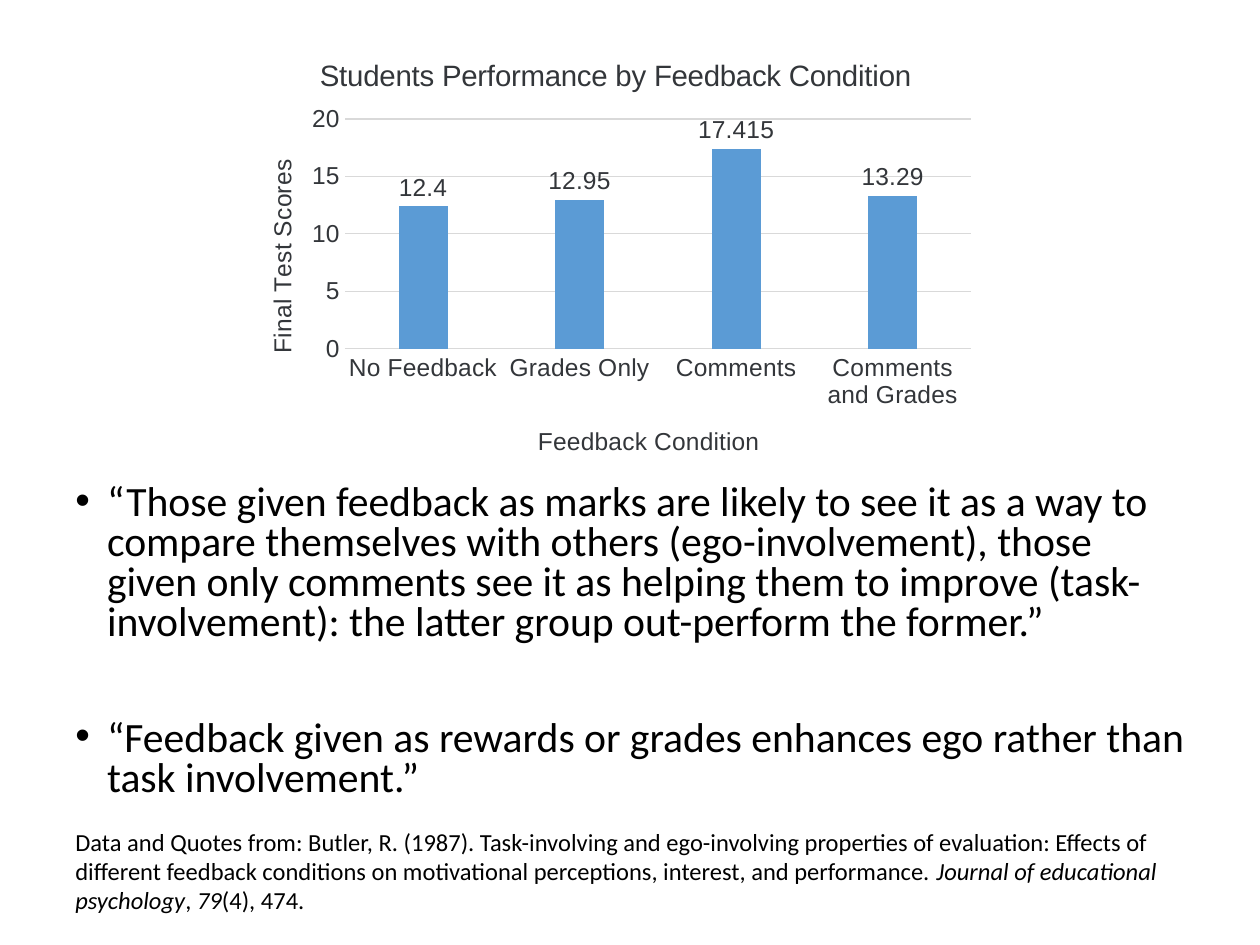
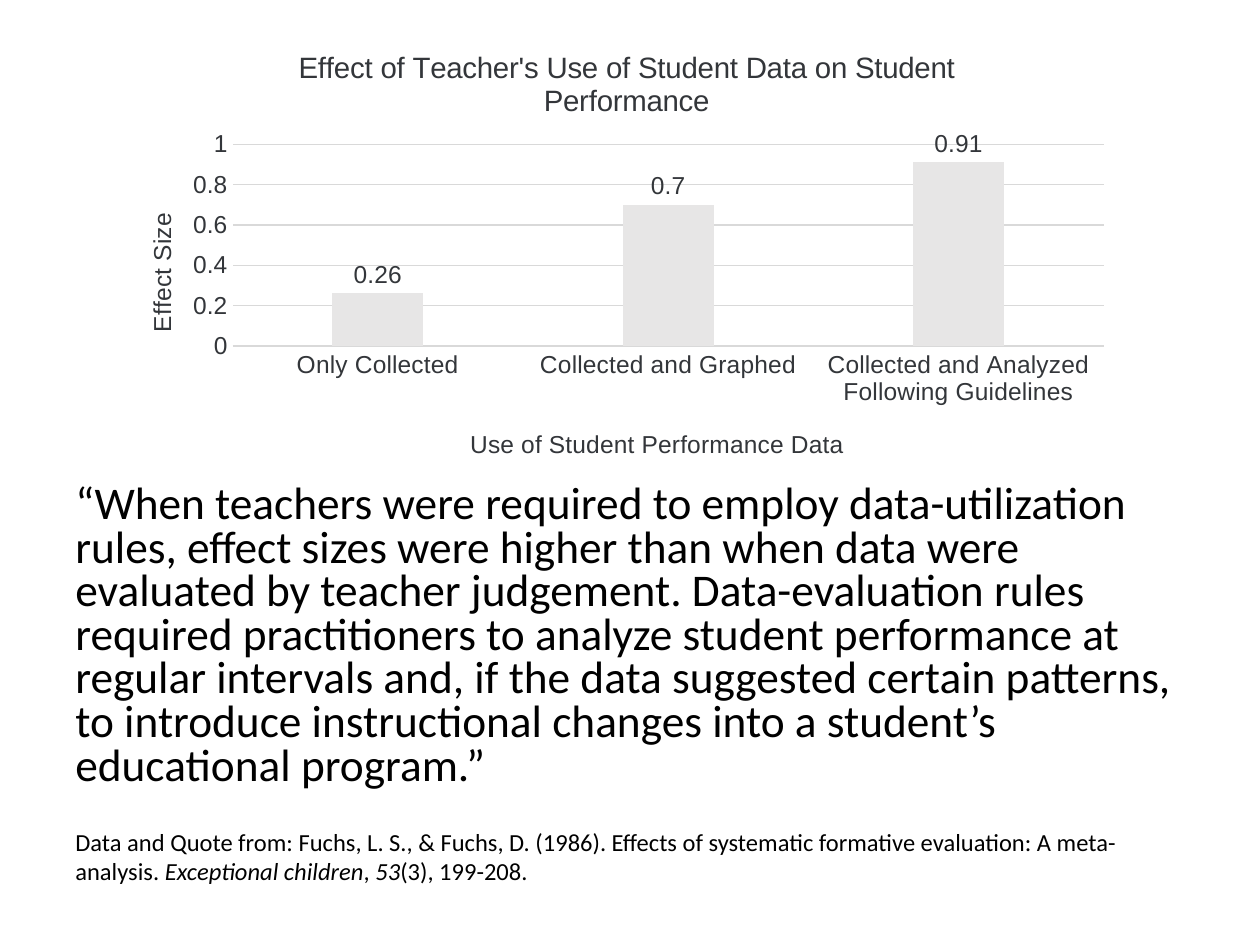
from dataclasses import dataclass

from lxml import etree
from pptx import Presentation
from pptx.chart.data import CategoryChartData
from pptx.dml.color import RGBColor
from pptx.enum.chart import XL_CHART_TYPE, XL_LABEL_POSITION, XL_TICK_MARK
from pptx.oxml.ns import qn
from pptx.util import Cm, Pt


@dataclass(frozen=True)
class Theme:
    text_font: str = "Calibri"
    chart_font: str = "Arial"
    text_color: RGBColor = RGBColor(0x00, 0x00, 0x00)
    chart_text: RGBColor = RGBColor(0x33, 0x36, 0x3A)
    grid_color: RGBColor = RGBColor(0xD9, 0xD9, 0xD9)
    blue_bars: RGBColor = RGBColor(0x5B, 0x9B, 0xD5)
    grey_bars: RGBColor = RGBColor(0xE7, 0xE6, 0xE6)
    title_size: Pt = Pt(16.8)
    label_size: Pt = Pt(14)
    source_size: Pt = Pt(14)
    grid_width: Pt = Pt(0.75)


theme = Theme()
MARGIN, TEXT_WIDTH = Cm(1.27), Cm(22.86)
QUOTE_TOP, QUOTE_HEIGHT = Cm(9.65), Cm(6.86)
SOURCE_TOP = Cm(16.54)
BULLET_INDENT = Cm(0.64)

STUDIES = [
    {
        "title": "Students Performance by Feedback Condition",
        "category_title": "Feedback Condition",
        "value_title": "Final Test Scores",
        "scores": {
            "No Feedback": 12.4,
            "Grades Only": 12.95,
            "Comments": 17.415,
            "Comments and Grades": 13.29,
        },
        "maximum": 20,
        "step": 5,
        "bar_color": theme.blue_bars,
        "frame": (Cm(4.67), Cm(0.58), Cm(15.21), Cm(9.09)),
        "title_at": (0.11, 0.05),
        "category_title_at": (0.4, 0.87),
        "value_title_at": (0.04, 0.28),
        "plot_at": (0.15, 0.2, 0.83, 0.51),
        "quotes": [
            "“Those given feedback as marks are likely to see it as a way to compare "
            "themselves with others (ego-involvement), those given only comments see it "
            "as helping them to improve (task-involvement): the latter group out-perform "
            "the former.”",
            "“Feedback given as rewards or grades enhances ego rather than task "
            "involvement.”",
        ],
        "bulleted": True,
        "quote_size": Pt(23.8),
        "source_height": Cm(2.06),
        "source": [
            ("Data and Quotes from: Butler, R. (1987). Task-involving and ego-involving "
             "properties of evaluation: Effects of different feedback conditions on "
             "motivational perceptions, interest, and performance. ", False),
            ("Journal of educational psychology", True),
            (", ", False),
            ("79", True),
            ("(4), 474.", False),
        ],
    },
    {
        "title": "Effect of Teacher's Use of Student Data on Student Performance",
        "category_title": "Use of Student Performance Data",
        "value_title": "Effect Size",
        "scores": {
            "Only Collected": 0.26,
            "Collected and Graphed": 0.7,
            "Collected and Analyzed Following Guidelines": 0.91,
        },
        "maximum": 1,
        "step": 0.2,
        "bar_color": theme.grey_bars,
        "frame": (Cm(2.24), Cm(0.41), Cm(20.42), Cm(9.25)),
        "title_at": (0.18, 0.05),
        "category_title_at": (0.35, 0.88),
        "value_title_at": (0.03, 0.41),
        "plot_at": (0.12, 0.27, 0.86, 0.44),
        "quotes": [
            "“When teachers were required to employ data-utilization rules, effect sizes "
            "were higher than when data were evaluated by teacher judgement. "
            "Data-evaluation rules required practitioners to analyze student performance "
            "at regular intervals and, if the data suggested certain patterns, to "
            "introduce instructional changes into a student’s educational program.”",
        ],
        "bulleted": False,
        "quote_size": Pt(25.9),
        "source_height": Cm(1.45),
        "source": [
            ("Data and Quote from: Fuchs, L. S., & Fuchs, D. (1986). Effects of "
             "systematic formative evaluation: A meta-analysis. ", False),
            ("Exceptional children", True),
            (", ", False),
            ("53", True),
            ("(3), 199-208.", False),
        ],
    },
]


def place(element, position, index):
    """Give a chart part a manual layout, in fractions of the chart: x, y[, w, h]."""
    for old_layout in element.findall(qn("c:layout")):
        element.remove(old_layout)
    layout = etree.Element(qn("c:layout"))
    manual = etree.SubElement(layout, qn("c:manualLayout"))
    if len(position) == 4:
        etree.SubElement(manual, qn("c:layoutTarget")).set("val", "inner")
    for mode in ("xMode", "yMode"):
        etree.SubElement(manual, qn(f"c:{mode}")).set("val", "edge")
    for name, fraction in zip("xywh", position):
        etree.SubElement(manual, qn(f"c:{name}")).set("val", str(fraction))
    element.insert(index, layout)


def style_font(font, name, size, color):
    font.name = name
    font.size = size
    font.bold = False
    font.color.rgb = color


presentation = Presentation()
presentation.slide_width = Cm(25.4)
presentation.slide_height = Cm(19.05)
blank_layout = presentation.slide_layouts[6]

for study in STUDIES:
    slide = presentation.slides.add_slide(blank_layout)

    # Column chart
    data = CategoryChartData()
    data.categories = list(study["scores"])
    data.add_series("Series 1", list(study["scores"].values()))
    chart = slide.shapes.add_chart(
        XL_CHART_TYPE.COLUMN_CLUSTERED, *study["frame"], data).chart
    chart.has_legend = False
    style_font(chart.font, theme.chart_font, theme.label_size, theme.chart_text)

    category_axis, value_axis = chart.category_axis, chart.value_axis
    for axis in (category_axis, value_axis):
        axis.major_tick_mark = axis.minor_tick_mark = XL_TICK_MARK.NONE
    value_axis.minimum_scale = 0
    value_axis.maximum_scale = study["maximum"]
    value_axis.major_unit = study["step"]
    value_axis.format.line.fill.background()
    for line in (category_axis.format.line, value_axis.major_gridlines.format.line):
        line.color.rgb = theme.grid_color
        line.width = theme.grid_width

    for title, key, size in (
        (chart.chart_title, "title", theme.title_size),
        (category_axis.axis_title, "category_title", theme.label_size),
        (value_axis.axis_title, "value_title", theme.label_size),
    ):
        title.text_frame.text = study[key]
        style_font(title.text_frame.paragraphs[0].font, theme.chart_font, size,
                   theme.chart_text)
        place(title._element, study[f"{key}_at"], 1)
    value_body = value_axis.axis_title.text_frame._txBody.find(qn("a:bodyPr"))
    value_body.set("rot", "-5400000")
    value_body.set("vert", "horz")
    place(chart._chartSpace.chart.plotArea, study["plot_at"], 0)

    plot = chart.plots[0]
    plot.vary_by_categories = False
    plot.gap_width = 219
    plot.overlap = -27
    bars = plot.series[0]
    bars.format.fill.solid()
    bars.format.fill.fore_color.rgb = study["bar_color"]
    labels = bars.data_labels
    labels.show_value = True
    labels.position = XL_LABEL_POSITION.OUTSIDE_END
    style_font(labels.font, theme.chart_font, theme.label_size, theme.chart_text)

    # Quotes
    quote_frame = slide.shapes.add_textbox(
        MARGIN, QUOTE_TOP, TEXT_WIDTH, QUOTE_HEIGHT).text_frame
    quote_frame.word_wrap = True
    for number, quote in enumerate(study["quotes"]):
        paragraph = quote_frame.add_paragraph() if number else quote_frame.paragraphs[0]
        paragraph.text = quote
        paragraph.line_spacing = 0.8
        paragraph.space_before = Pt(43 if number else 0)
        style_font(paragraph.font, theme.text_font, study["quote_size"], theme.text_color)
        if study["bulleted"]:
            properties = paragraph._p.get_or_add_pPr()
            properties.set("marL", str(BULLET_INDENT))
            properties.set("indent", str(-BULLET_INDENT))
            bullet_font = etree.Element(qn("a:buFont"), typeface="Arial")
            bullet = etree.Element(qn("a:buChar"), char="•")
            default_run = properties.find(qn("a:defRPr"))
            default_run.addprevious(bullet_font)
            default_run.addprevious(bullet)

    # Source line
    source_frame = slide.shapes.add_textbox(
        MARGIN, SOURCE_TOP, TEXT_WIDTH, study["source_height"]).text_frame
    source_frame.word_wrap = True
    paragraph = source_frame.paragraphs[0]
    style_font(paragraph.font, theme.text_font, theme.source_size, theme.text_color)
    for text, italic in study["source"]:
        run = paragraph.add_run()
        run.text = text
        run.font.italic = italic

presentation.save("out.pptx")
